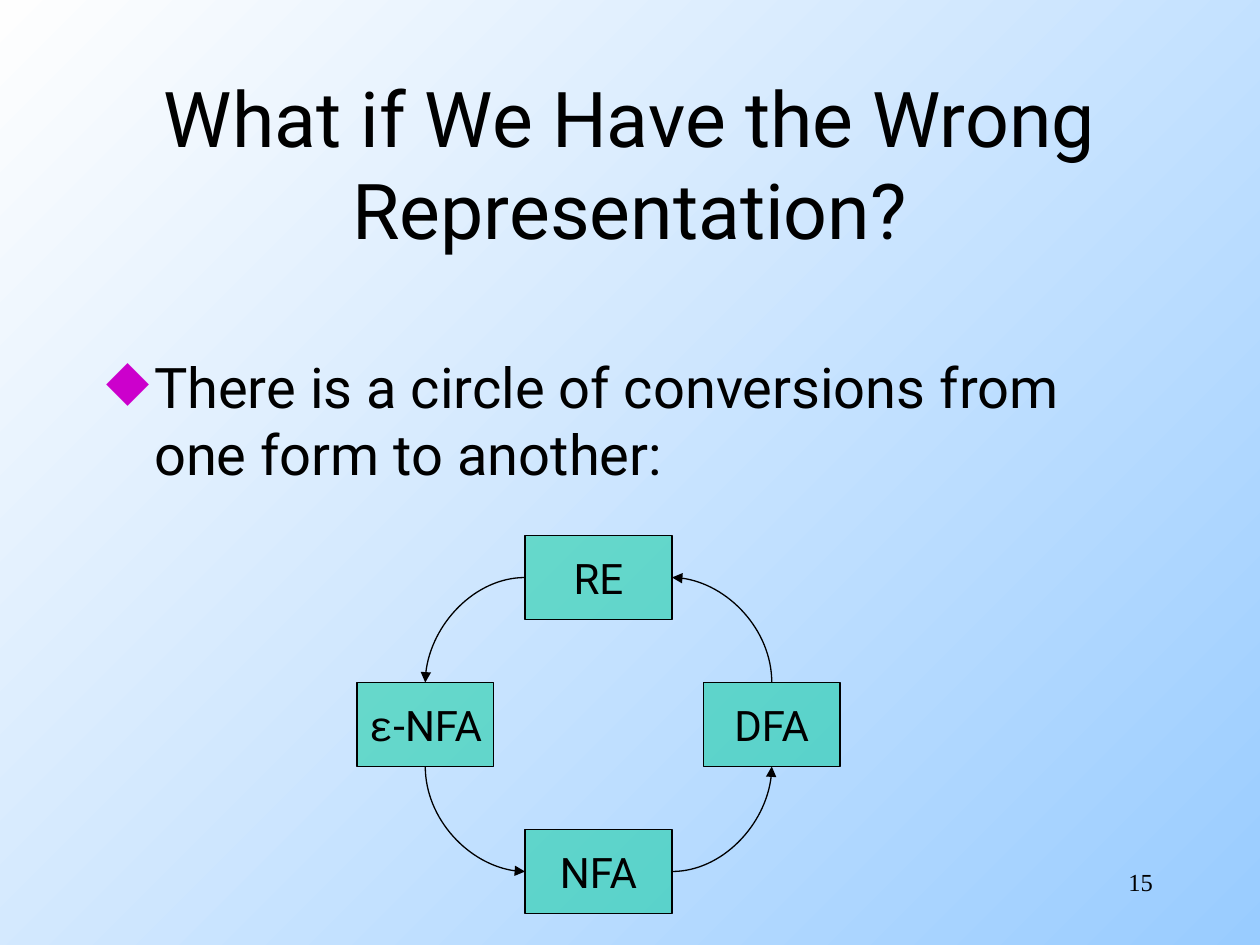
from dataclasses import dataclass

import pptx
import pptx.dml.color
import pptx.enum.dml
import pptx.enum.shapes
import pptx.enum.text
import pptx.oxml
import pptx.oxml.ns
import pptx.util

Pt = pptx.util.Pt
Align = pptx.enum.text.PP_ALIGN
Anchor = pptx.enum.text.MSO_ANCHOR


@dataclass(frozen=True)
class Theme:
    ink: str = "000000"
    bullet: str = "CC00CC"
    state: str = "00CC99"
    backdrop: tuple = ("99CCFF", "FEFEFE")
    font: str = "Roboto"
    epsilon_font: str = "Courier New"
    number_font: str = "Times New Roman"
    title_size: int = 44
    body_size: int = 32
    state_size: int = 24
    number_size: int = 14
    line_width: float = 0.75


THEME = Theme()
TOP, LEFT, BOTTOM, RIGHT = range(4)  # connection sites of a rectangle


def rgb(code):
    return pptx.dml.color.RGBColor.from_string(code)


def append_xml(parent, tag, **attributes):
    child = pptx.oxml.parse_xml(f"<a:{tag} {pptx.oxml.ns.nsdecls('a')}/>")
    for name, value in attributes.items():
        child.set(name, value)
    parent.append(child)
    return child


def format_span(span, size, font=THEME.font):
    span.font.size = Pt(size)
    span.font.name = font
    span.font.color.rgb = rgb(THEME.ink)


def write_text(shape, text, size, align, font=THEME.font, anchor=Anchor.TOP, wrap=True):
    frame = shape.text_frame
    frame.text = text
    frame.word_wrap = wrap
    frame.auto_size = pptx.enum.text.MSO_AUTO_SIZE.NONE
    frame.vertical_anchor = anchor
    para = frame.paragraphs[0]
    para.alignment = align
    format_span(para.runs[0], size, font)
    return para


def paint_backdrop(page):
    fill = page.background.fill
    fill.gradient()
    fill.gradient_angle = 135
    for stop, position, code in zip(fill.gradient_stops, (0, 1), THEME.backdrop):
        stop.position = position
        stop.color.rgb = rgb(code)


def place_title(page, box, text):
    title = page.shapes.title
    title.left, title.top, title.width, title.height = map(Pt, box)
    write_text(title, text, THEME.title_size, Align.CENTER, anchor=Anchor.MIDDLE)


def place_bullet(page, box, text):
    body = page.shapes.add_textbox(*map(Pt, box))
    para = write_text(body, text, THEME.body_size, Align.LEFT)
    para.space_before = Pt(8)
    properties = para._p.get_or_add_pPr()
    properties.set("marL", str(Pt(27)))
    properties.set("indent", str(-Pt(27)))
    append_xml(append_xml(properties, "buClr"), "srgbClr", val=THEME.bullet)
    append_xml(properties, "buChar", char="◆")


def place_page_number(page, box, text):
    number = page.shapes.add_textbox(*map(Pt, box))
    write_text(number, text, THEME.number_size, Align.RIGHT, THEME.number_font)


def add_state(page, box, label):
    state = page.shapes.add_shape(
        pptx.enum.shapes.MSO_SHAPE.RECTANGLE, *map(Pt, box))
    state.shadow.inherit = False
    state.fill.solid()
    state.fill.fore_color.rgb = rgb(THEME.state)
    color = state._element.spPr.find(".//" + pptx.oxml.ns.qn("a:srgbClr"))
    append_xml(color, "alpha", val="50000")
    state.line.color.rgb = rgb(THEME.ink)
    state.line.width = Pt(THEME.line_width)
    para = write_text(state, label, THEME.state_size, Align.CENTER,
                      anchor=Anchor.MIDDLE, wrap=False)
    if label.startswith("ε"):
        span = para.runs[0]
        span.text = "ε"
        format_span(span, THEME.state_size, THEME.epsilon_font)
        rest = para.add_run()
        rest.text = label[1:]
        format_span(rest, THEME.state_size)
    return state


def add_arc(page, source, source_site, target, target_site):
    """Draw a quarter-turn arrow between connection sites of two states."""
    arc = page.shapes.add_connector(pptx.enum.shapes.MSO_CONNECTOR.CURVE, 0, 0, 0, 0)
    arc.begin_connect(source, source_site)
    arc.end_connect(target, target_site)
    properties = arc._element.spPr
    properties.find(pptx.oxml.ns.qn("a:prstGeom")).set("prst", "curvedConnector2")
    if source_site in (TOP, BOTTOM):
        # The preset leaves sideways, so an upright start needs a turn of 270°.
        center_x = (arc.begin_x + arc.end_x) // 2
        center_y = (arc.begin_y + arc.end_y) // 2
        across, down = arc.begin_y - arc.end_y, arc.end_x - arc.begin_x
        transform = properties.find(pptx.oxml.ns.qn("a:xfrm"))
        transform.set("rot", "16200000")
        transform.set("flipH", str(int(across < 0)))
        transform.set("flipV", str(int(down < 0)))
        arc.width, arc.height = abs(across), abs(down)
        arc.left = center_x - arc.width // 2
        arc.top = center_y - arc.height // 2
    arc.line.color.rgb = rgb(THEME.ink)
    arc.line.width = Pt(THEME.line_width)
    append_xml(arc.line._get_or_add_ln(), "tailEnd", type="triangle")
    append_xml(properties, "effectLst")


def place_conversion_circle(page, box):
    left, top, width, height = box
    state_height, wide, narrow = 48, 84, 78
    middle_x = left + (width - wide) / 2
    middle_y = top + (height - state_height) / 2
    bottom_y = top + height - state_height
    regex = add_state(page, (middle_x, top, wide, state_height), "RE")
    dfa = add_state(
        page, (left + width - narrow, middle_y, narrow, state_height), "DFA")
    nfa = add_state(page, (middle_x, bottom_y, wide, state_height), "NFA")
    epsilon_nfa = add_state(page, (left, middle_y, narrow, state_height), "ε-NFA")
    add_arc(page, dfa, TOP, regex, RIGHT)
    add_arc(page, regex, LEFT, epsilon_nfa, TOP)
    add_arc(page, epsilon_nfa, BOTTOM, nfa, LEFT)
    add_arc(page, nfa, RIGHT, dfa, BOTTOM)


def main():
    deck = pptx.Presentation()
    deck.slide_width, deck.slide_height = Pt(720), Pt(540)
    page = deck.slides.add_slide(deck.slide_layouts.get_by_name("Title Only"))
    paint_backdrop(page)
    place_title(page, (54, 48, 612, 90), "What if We Have the Wrong Representation?")
    place_bullet(page, (54, 198, 612, 282),
                 "There is a circle of conversions from one form to another:")
    place_conversion_circle(page, (204, 306, 276, 216))
    place_page_number(page, (516, 492, 150, 36), "15")
    deck.save("out.pptx")


if __name__ == "__main__":
    main()
